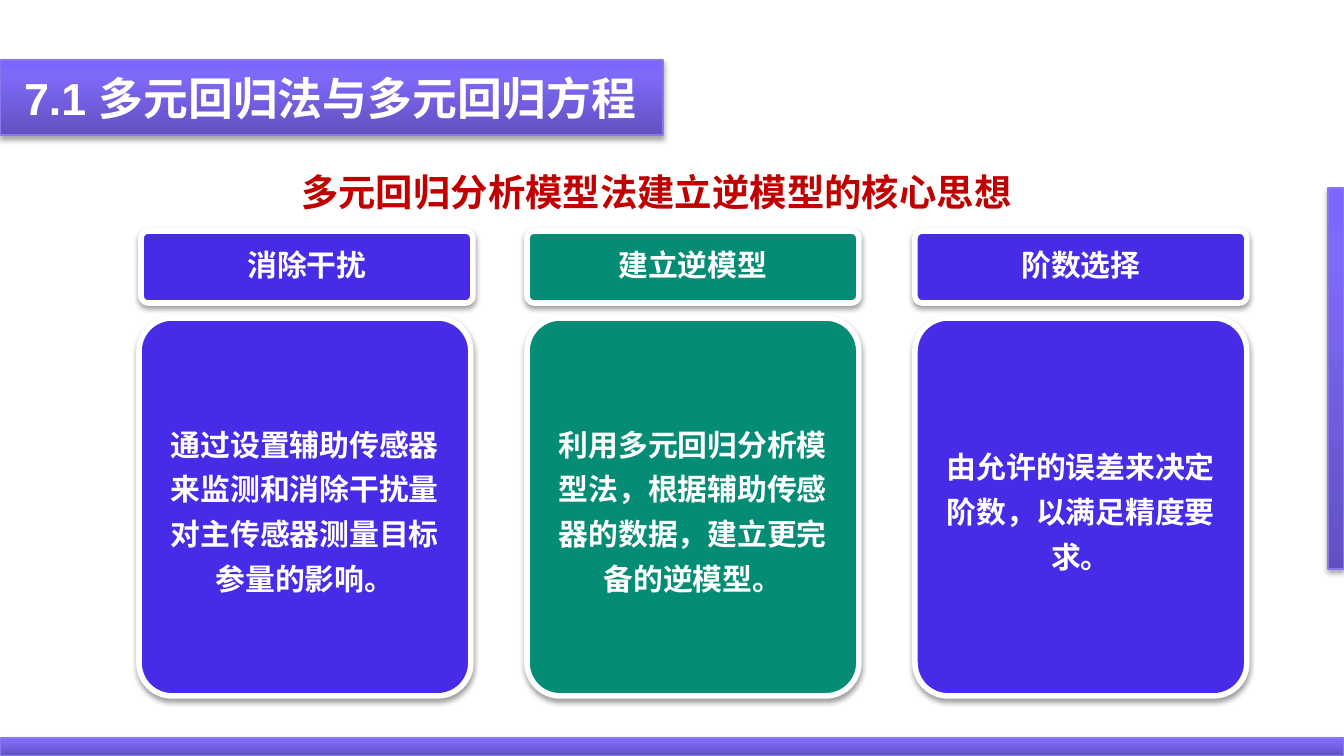
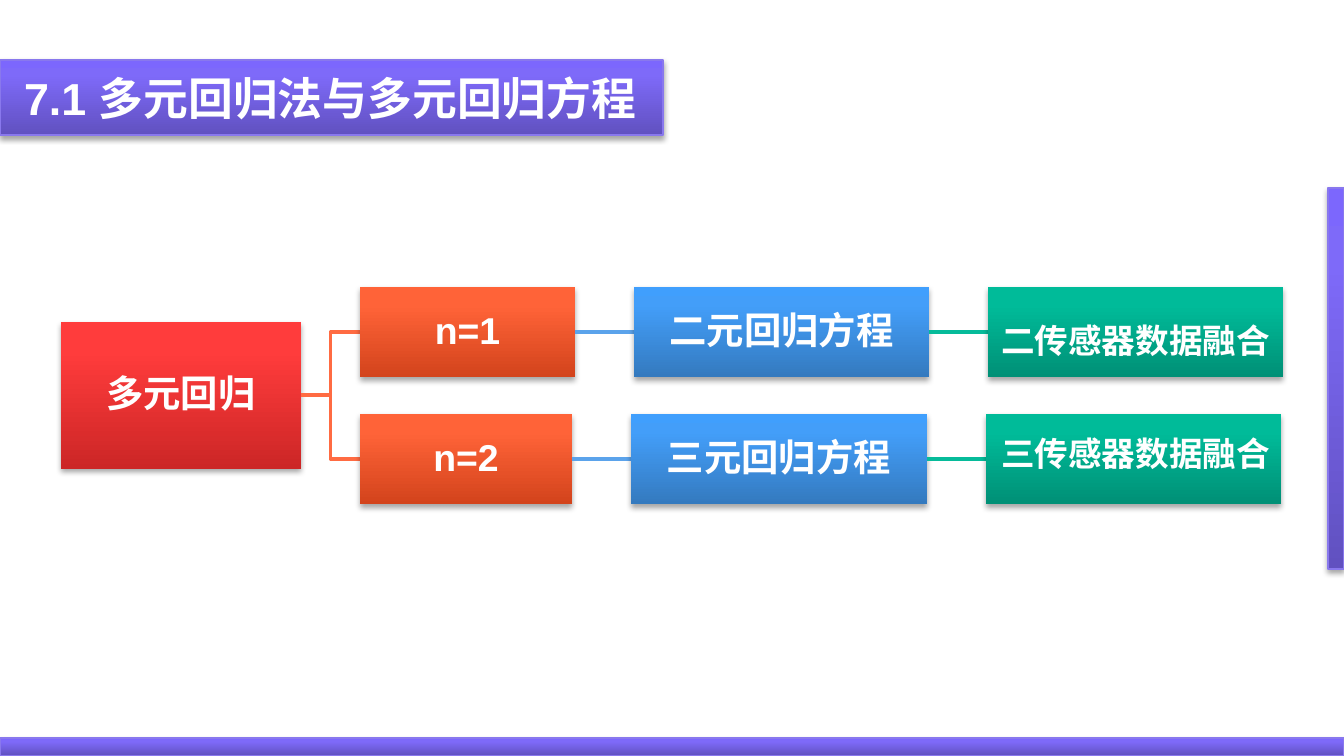
from typing import NamedTuple, Optional

from lxml.etree import SubElement
from pptx import Presentation
from pptx.dml.color import RGBColor
from pptx.enum.lang import MSO_LANGUAGE_ID
from pptx.enum.shapes import MSO_CONNECTOR, MSO_SHAPE
from pptx.enum.text import MSO_ANCHOR, MSO_AUTO_SIZE, PP_ALIGN
from pptx.oxml.ns import qn
from pptx.util import Emu, Pt

EMU_PER_PX = 914400 / 134.4
PAGE_WIDTH, PAGE_HEIGHT = 1344, 756
FONT = "Arial"
WHITE, RED, INDIGO, GREEN = "FFFFFF", "C00000", "462CE6", "058C74"
BAND_LINE = "8978ED"
TITLE = "7.1 多元回归法与多元回归方程"


class Rect(NamedTuple):
    left: int
    top: int
    width: int
    height: int

    @property
    def right(self) -> int:
        return self.left + self.width

    @property
    def middle(self) -> int:
        return self.top + self.height // 2


class Gradient(NamedTuple):
    bottom: str
    upper: str
    top: str


class Shadow(NamedTuple):
    opacity: int
    blur: float
    distance: float


class TextStyle(NamedTuple):
    size: int
    color: str = WHITE
    align: PP_ALIGN = PP_ALIGN.CENTER
    anchor: MSO_ANCHOR = MSO_ANCHOR.MIDDLE
    spacing: float = 1.0
    inset_x: int = 13
    inset_y: int = 7


class Card(NamedTuple):
    heading: str
    body: str
    color: str
    heading_shift: int = 0


class Branch(NamedTuple):
    top: int
    labels: tuple[str, str]
    widths: tuple[int, int, int]
    result: str
    result_top: int


PURPLE = Gradient("6151C0", "7E6AF9", "7C67FD")
ROOT_RED = Gradient("CC2626", "FF3C3C", "FF3D3D")
ORANGE = Gradient("D3441C", "FF6338", "FF6439")
BLUE = Gradient("347ABF", "439EF9", "409FFD")
TEAL = Gradient("009076", "00BB99", "00BC9A")
BRANCH_FILLS = (ORANGE, BLUE, TEAL)
LINK_COLORS = ("FF6B42", "5BA3EB", "06BB9A")

BOX_SHADOW = Shadow(35, 3.1, 1.8)
CARD_SHADOW = Shadow(38, 3.1, 1.6)

TITLE_STYLE = TextStyle(24, align=PP_ALIGN.LEFT, anchor=MSO_ANCHOR.TOP)
SUBTITLE_STYLE = TextStyle(20, RED, anchor=MSO_ANCHOR.TOP, spacing=1.25)
HEADING_STYLE = TextStyle(16, spacing=0.9, inset_x=9, inset_y=9)
BODY_STYLE = TextStyle(16, spacing=1.25, inset_x=9, inset_y=9)
NODE_STYLE = TextStyle(20, spacing=0.9, inset_x=1, inset_y=1)
RESULT_STYLE = TextStyle(18, align=PP_ALIGN.LEFT, anchor=MSO_ANCHOR.TOP)

FOOTER_BAND = Rect(0, 738, PAGE_WIDTH, 18)
SIDE_BAND = Rect(1328, 188, 16, 381)
TITLE_BAND = Rect(0, 60, 663, 75)
TITLE_BOX = Rect(11, 64, 652, 68)

CARDS = (
    Card("消除干扰", "通过设置辅助传感器来监测和消除干扰量对主传感器测量目标参量的影响。", INDIGO, 2),
    Card("建立逆模型", "利用多元回归分析模型法，根据辅助传感器的数据，建立更完备的逆模型。", GREEN),
    Card("阶数选择", "由允许的误差来决定阶数，以满足精度要求。", INDIGO),
)
CARD_LEFT, CARD_PITCH, CARD_WIDTH = 139, 388, 332

ROOT = Rect(61, 322, 240, 147)
BRANCHES = (
    Branch(287, ("n=1", "二元回归方程"), (215, 295, 295), "二传感器数据融合", 313),
    Branch(414, ("n=2", "三元回归方程"), (212, 296, 295), "三传感器数据融合", 426),
)
BRANCH_HEIGHT, BRANCH_GAP = 90, 59


def px(value: int) -> Emu:
    return Emu(round(value * EMU_PER_PX))


def rgb(color: str) -> RGBColor:
    return RGBColor.from_string(color)


def place(rect: Rect) -> list[Emu]:
    return [px(value) for value in rect]


def set_gradient(shape, gradient: Gradient) -> None:
    shape.fill.gradient()
    shape.fill.gradient_angle = 90
    stops = shape.element.spPr.find(qn("a:gradFill")).find(qn("a:gsLst"))
    for stop in list(stops):
        stops.remove(stop)
    for position, color in zip((0, 80, 100), gradient):
        stop = SubElement(stops, qn("a:gs"), pos=str(position * 1000))
        SubElement(stop, qn("a:srgbClr"), val=color)


def set_shadow(shape, shadow: Shadow) -> None:
    shape.shadow.inherit = False
    effects = shape.element.spPr.find(qn("a:effectLst"))
    outer = SubElement(
        effects, qn("a:outerShdw"), blurRad=str(Pt(shadow.blur)),
        dist=str(Pt(shadow.distance)), dir="5400000", rotWithShape="0",
    )
    color = SubElement(outer, qn("a:srgbClr"), val="000000")
    SubElement(color, qn("a:alpha"), val=str(shadow.opacity * 1000))


def set_text(shape, text: str, style: TextStyle) -> None:
    frame = shape.text_frame
    frame.text = text
    frame.word_wrap = True
    frame.auto_size = MSO_AUTO_SIZE.NONE
    frame.vertical_anchor = style.anchor
    frame.margin_left = frame.margin_right = px(style.inset_x)
    frame.margin_top = frame.margin_bottom = px(style.inset_y)
    para = frame.paragraphs[0]
    para.alignment = style.align
    para.line_spacing = style.spacing
    for span in para.runs:
        span.font.name = FONT
        span.font.size = Pt(style.size)
        span.font.bold = True
        span.font.color.rgb = rgb(style.color)
        span.font.language_id = MSO_LANGUAGE_ID.SIMPLIFIED_CHINESE


def add_text(page, rect: Rect, text: str, style: TextStyle) -> None:
    set_text(page.shapes.add_textbox(*place(rect)), text, style)


def add_gradient_box(page, rect: Rect, gradient: Gradient, line: Optional[str] = None):
    box = page.shapes.add_shape(MSO_SHAPE.RECTANGLE, *place(rect))
    set_gradient(box, gradient)
    if line:
        box.line.color.rgb = rgb(line)
        box.line.width = Pt(0.75)
    else:
        box.line.fill.background()
    set_shadow(box, BOX_SHADOW)
    return box


def add_panel(page, rect: Rect, color: str, text: str, style: TextStyle) -> None:
    panel = page.shapes.add_shape(MSO_SHAPE.ROUNDED_RECTANGLE, *place(rect))
    panel.adjustments[0] = 0.1
    panel.fill.solid()
    panel.fill.fore_color.rgb = rgb(color)
    panel.line.color.rgb = rgb(WHITE)
    panel.line.width = Pt(3)
    set_shadow(panel, CARD_SHADOW)
    set_text(panel, text, style)


def add_link(page, start: Rect, end: Rect, color: str) -> None:
    level = start.middle == end.middle
    kind = MSO_CONNECTOR.STRAIGHT if level else MSO_CONNECTOR.ELBOW
    link = page.shapes.add_connector(
        kind, px(start.right), px(start.middle), px(end.left), px(end.middle)
    )
    link.line.color.rgb = rgb(color)
    link.line.width = Pt(2)
    SubElement(link.element.spPr, qn("a:effectLst"))


def add_page(deck):
    page = deck.slides.add_slide(deck.slide_layouts[5])
    for band in (FOOTER_BAND, SIDE_BAND):
        add_gradient_box(page, band, PURPLE, BAND_LINE)
    banner = add_gradient_box(page, TITLE_BAND, PURPLE, BAND_LINE)
    title = page.shapes.title
    title.left, title.top, title.width, title.height = place(TITLE_BOX)
    set_text(title, TITLE, TITLE_STYLE)
    banner.element.addnext(title.element)
    return page


def build_core_ideas(deck) -> None:
    page = add_page(deck)
    add_text(page, Rect(286, 151, 741, 66), "多元回归分析模型法建立逆模型的核心思想", SUBTITLE_STYLE)
    for index, card in enumerate(CARDS):
        left = CARD_LEFT + index * CARD_PITCH
        heading = Rect(left + card.heading_shift, 231, CARD_WIDTH, 72)
        add_panel(page, heading, card.color, card.heading, HEADING_STYLE)
        add_panel(page, Rect(left, 318, CARD_WIDTH, 378), card.color, card.body, BODY_STYLE)


def build_regression_tree(deck) -> None:
    page = add_page(deck)
    set_text(add_gradient_box(page, ROOT, ROOT_RED), "多元回归", NODE_STYLE)
    for branch in BRANCHES:
        previous, left = ROOT, ROOT.right + BRANCH_GAP
        labels = (*branch.labels, "")
        for width, label, fill, color in zip(branch.widths, labels, BRANCH_FILLS, LINK_COLORS):
            rect = Rect(left, branch.top, width, BRANCH_HEIGHT)
            add_link(page, previous, rect, color)
            box = add_gradient_box(page, rect, fill)
            if label:
                set_text(box, label, NODE_STYLE)
            previous, left = rect, rect.right + BRANCH_GAP
        add_text(page, Rect(988, branch.result_top, 310, 54), branch.result, RESULT_STYLE)


def main() -> None:
    deck = Presentation()
    deck.slide_width, deck.slide_height = px(PAGE_WIDTH), px(PAGE_HEIGHT)
    build_core_ideas(deck)
    build_regression_tree(deck)
    deck.save("out.pptx")


if __name__ == "__main__":
    main()
